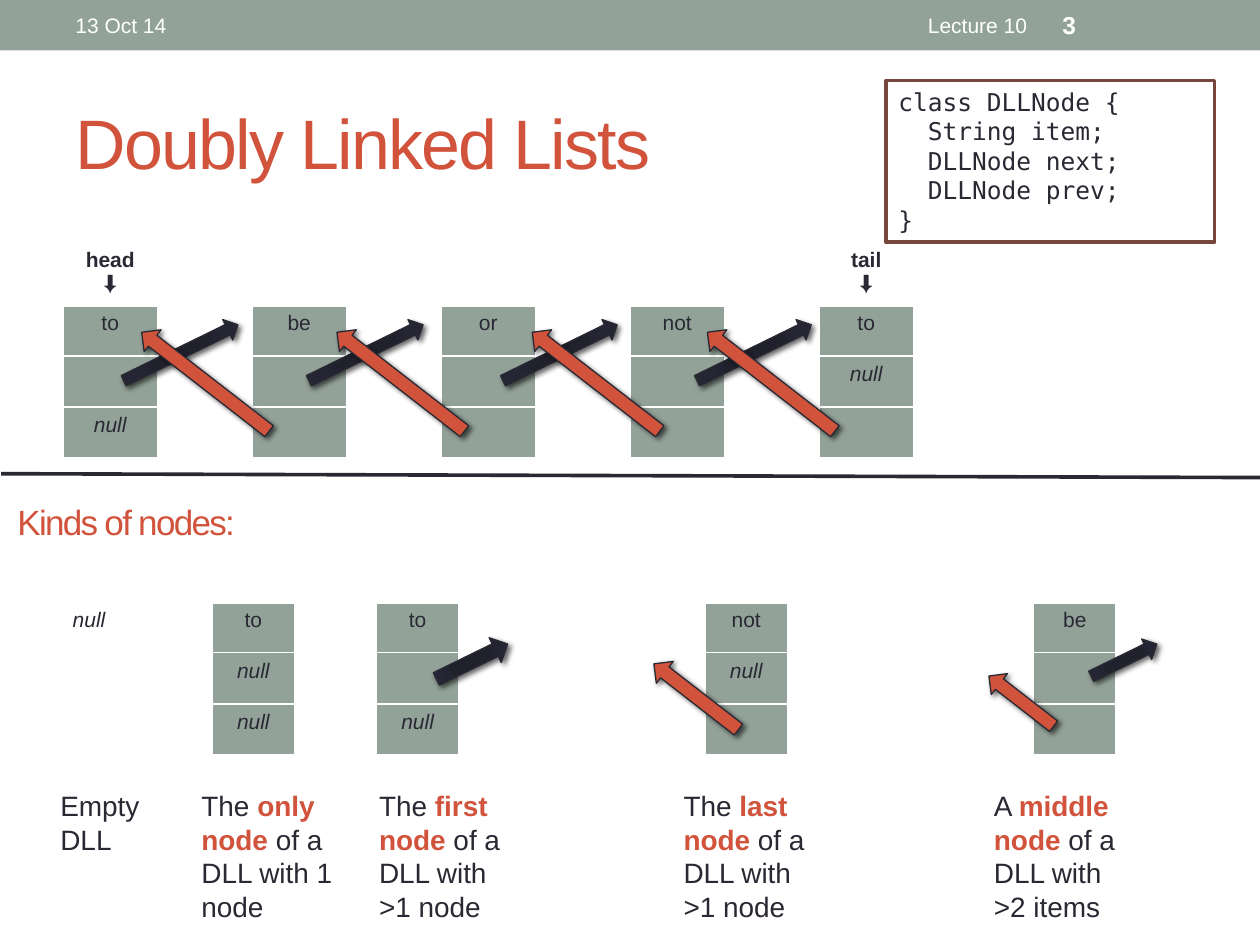
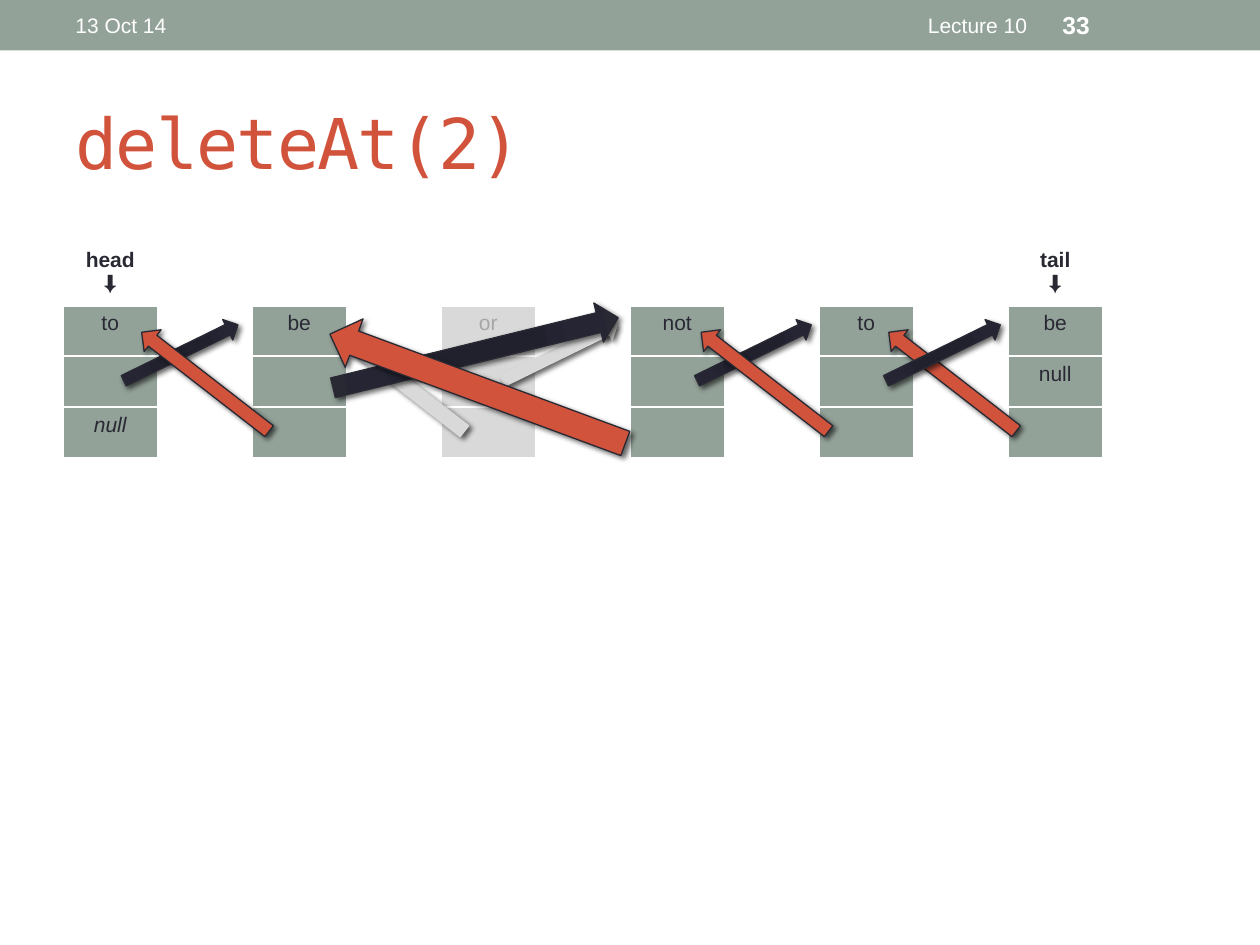
from lxml import etree
from pptx import Presentation
from pptx.dml.color import RGBColor
from pptx.enum import shapes, text
from pptx.oxml import ns, parse_xml
from pptx.util import Pt

SAGE, RUST, INK, WHITE = "93A299", "D2533C", "292934", "FFFFFF"
BROWN, PALE, GREY = "79463D", "D9D9D9", "A6A6A6"
SANS, MONO = "Arial", "DejaVu Sans Mono"
DARK_STOPS = [(0, "21212F"), (34, "21212E"), (70, "252534"), (100, INK)]

DATE, LECTURE = "13 Oct 14", "Lecture 10"
NULL = ("null", {"italic": True})
CODE = [("class DLLNode {", 0), ("String item;", 1), ("DLLNode next;", 1),
        ("DLLNode prev;", 1), ("}", 0)]

FULL_LIST = {0: ("to", "", NULL), 2: ("be", "", ""), 4: ("or", "", ""),
             6: ("not", "", ""), 8: ("to", NULL, "")}
DELETED_LIST = {0: ("to", "", NULL), 2: ("be", "", ""),
                4: (("or", {"color": GREY}), "", ""), 6: ("not", "", ""),
                8: ("to", "", ""), 10: ("be", "null", "")}
NODE_KINDS = {0: (NULL, "", ""), 2: ("to", NULL, NULL), 4: ("to", "", NULL),
              8: ("not", NULL, ""), 12: ("be", "", "")}

KEY = {"color": RUST, "bold": True}
CAPTIONS = [
    (27.4, 80.6, ["Empty DLL"]),
    (108, 92.2, ["The ", ("only node", KEY), " of a DLL with 1 node"]),
    (209.5, 92.9, ["The ", ("first node", KEY), " of a DLL with >1 node"]),
    (383.5, 92.9, ["The ", ("last node", KEY), " of a DLL with >1 node"]),
    (560.9, 92.9, ["A ", ("middle node", KEY), " of a DLL with >2 items"]),
]

NEXT_SIZE, PREV_SIZE = (195.1, 72.7, 13), (210.2, 92.2, 15.8)
NEXT_TURN, PREV_TURN = 333.9, 217.8
LIST_ARROWS = [("next", x, *NEXT_SIZE, NEXT_TURN) for x in (67, 172.8, 283.7, 394.6)]
LIST_ARROWS += [("prev", x, *PREV_SIZE, PREV_TURN) for x in (394.6, 294.5, 182.9, 71.3)]
KIND_ARROWS = [
    ("next", 621.4, 370.8, 41.8, 13, NEXT_TURN),
    ("prev", 560.2, 393.1, 46.8, 15.1, PREV_TURN),
    ("next", 247, 370.1, 45.4, 15.8, NEXT_TURN),
    ("prev", 367.2, 390.2, 61.2, 15.8, PREV_TURN),
]
DELETE_ARROWS = [
    ("next", 67, *NEXT_SIZE, NEXT_TURN),
    ("gone", 283.7, *NEXT_SIZE, NEXT_TURN),
    ("next", 394.6, *NEXT_SIZE, NEXT_TURN),
    ("prev", 498.2, *PREV_SIZE, PREV_TURN),
    ("gone", 182.9, *PREV_SIZE, PREV_TURN),
    ("prev", 71.3, *PREV_SIZE, PREV_TURN),
    ("next", 502.6, *NEXT_SIZE, NEXT_TURN),
    ("prev", 391, *PREV_SIZE, PREV_TURN),
    ("next", 187.9, 190.1, 167.8, 23, 346.2),
    ("prev", 182.9, 207.4, 180, 29.5, 200.3),
]


def rgb(value):
    return RGBColor.from_string(value)


def write(frame, paragraphs, align="LEFT", anchor="TOP", spacing=None, **base):
    frame.word_wrap = True
    frame.vertical_anchor = getattr(text.MSO_ANCHOR, anchor)
    for index, spans in enumerate(paragraphs):
        para = frame.paragraphs[0] if index == 0 else frame.add_paragraph()
        para.alignment = getattr(text.PP_ALIGN, align)
        for item in spans:
            words, changes = (item, {}) if isinstance(item, str) else item
            look = {"font": SANS, "size": 12, "color": INK, **base, **changes}
            span = para.add_run()
            span.text = words
            span.font.name = look["font"]
            span.font.size = Pt(look["size"])
            span.font.bold = look.get("bold", False)
            span.font.italic = look.get("italic", False)
            span.font.color.rgb = rgb(look["color"])
            if spacing:
                span.font._element.set("spc", str(spacing * 100))


def add_text(page, place, paragraphs, **look):
    box = page.shapes.add_textbox(*map(Pt, place))
    write(box.text_frame, paragraphs, **look)


def add_box(page, kind, place, fill, line=None, weight=0.75):
    box = page.shapes.add_shape(getattr(shapes.MSO_SHAPE, kind), *map(Pt, place))
    box.shadow.inherit = False
    box.fill.solid()
    box.fill.fore_color.rgb = rgb(fill)
    if line:
        box.line.color.rgb = rgb(line)
        box.line.width = Pt(weight)
    else:
        box.line.fill.background()
    return box


def add_arrow(page, role, left, top, width, height, turn):
    fill, line = {"next": (INK, INK), "prev": (RUST, INK), "gone": (PALE, PALE)}[role]
    arrow = add_box(page, "RIGHT_ARROW", (left, top, width, height), fill, line)
    arrow.rotation = turn
    properties = arrow._element.spPr
    if role == "next":
        stops = "".join(f'<a:gs pos="{pos * 1000}"><a:srgbClr val="{color}"/></a:gs>'
                        for pos, color in DARK_STOPS)
        gradient = parse_xml(
            f'<a:gradFill {ns.nsdecls("a")}><a:gsLst>{stops}</a:gsLst><a:path path="circle">'
            '<a:fillToRect l="100000" t="100000" r="100000" b="100000"/></a:path></a:gradFill>')
        properties.replace(properties.find(ns.qn("a:solidFill")), gradient)
    properties.find(ns.qn("a:effectLst")).append(parse_xml(
        f'<a:outerShdw {ns.nsdecls("a")} blurRad="{Pt(3)}" dist="{Pt(2)}" dir="2700000">'
        '<a:srgbClr val="000000"><a:alpha val="60000"/></a:srgbClr></a:outerShdw>'))


def set_borders(cell, row):
    weights = {"L": 1, "R": 1, "T": 3 if row == 1 else 1, "B": 3 if row == 0 else 1}
    for index, (side, weight) in enumerate(weights.items()):
        cell._tc.get_or_add_tcPr().insert(index, parse_xml(
            f'<a:ln{side} {ns.nsdecls("a")} w="{Pt(weight)}"><a:solidFill>'
            f'<a:srgbClr val="{WHITE}"/></a:solidFill></a:ln{side}>'))


def add_nodes(page, left, top, column, count, header, nodes, labels, fills):
    heights = [header] + [29.2] * 3
    table = page.shapes.add_table(4, count, *map(
        Pt, (left, top, column * count, sum(heights)))).table
    table.first_row = table.horz_banding = False
    for part in table.columns:
        part.width = Pt(column)
    for part, height in zip(table.rows, heights):
        part.height = Pt(height)
    for row in range(4):
        for col in range(count):
            cell = table.cell(row, col)
            if row and col in nodes:
                cell.fill.solid()
                cell.fill.fore_color.rgb = rgb(fills.get(col, SAGE))
                if nodes[col][row - 1]:
                    write(cell.text_frame, [[nodes[col][row - 1]]], align="CENTER")
            else:
                cell.fill.background()
                if row == 0 and col in labels:
                    write(cell.text_frame, [[labels[col]], ["\u2b07"]],
                          align="CENTER", bold=True)
            set_borders(cell, row)


def add_list(page, nodes, fills):
    add_nodes(page, 36, 138.2, 54, 12, 34, nodes, {0: "head", max(nodes): "tail"}, fills)


def add_page(title, number, font=SANS):
    page = deck.slides.add_slide(deck.slide_layouts[6])
    add_box(page, "RECTANGLE", (0, 0, 720, 28.8), SAGE)
    add_text(page, (36, 41.8, 648, 77.8), [[title]], anchor="MIDDLE",
             size=40, color=RUST, font=font, spacing=-1)
    strip = {"anchor": "MIDDLE", "color": WHITE}
    add_text(page, (36, 1.4, 228, 26), [[DATE]], **strip)
    add_text(page, (270, 1.4, 324, 26), [[LECTURE]], align="RIGHT", **strip)
    add_text(page, (600, 1.4, 84, 26), [[number]], size=14, bold=True, **strip)
    return page


def add_code(page):
    box = add_box(page, "RECTANGLE", (506.2, 46.1, 187.9, 92.2), WHITE, BROWN, 2.08)
    write(box.text_frame, [[line] for line, level in CODE], font=MONO, size=14)
    for para, (line, level) in zip(box.text_frame.paragraphs, CODE):
        para._p.get_or_add_pPr().set("marL", str(Pt(16.86 * level)))


def add_divider(page):
    line = page.shapes.add_connector(
        shapes.MSO_CONNECTOR.STRAIGHT, *map(Pt, (0.7, 270.7, 720.7, 272.9)))
    line.line.color.rgb = rgb(INK)
    line.line.width = Pt(2.08)
    etree.SubElement(line._element.spPr, ns.qn("a:effectLst"))


deck = Presentation()
deck.slide_width, deck.slide_height = Pt(720), Pt(540)

page = add_page("Doubly Linked Lists", "3")
add_list(page, FULL_LIST, {})
for arrow in LIST_ARROWS:
    add_arrow(page, *arrow)
add_code(page)
add_nodes(page, 27.4, 314.6, 46.95, 14, 29.2, NODE_KINDS, {}, {0: WHITE})
for arrow in KIND_ARROWS:
    add_arrow(page, *arrow)
for left, width, spans in CAPTIONS:
    add_text(page, (left, 447.1, width, 85), [spans], size=16)
add_divider(page)
add_text(page, (2.9, 269.3, 648, 56.9), [["Kinds of nodes:"]], anchor="MIDDLE",
         size=20, color=RUST, spacing=-1)

page = add_page("deleteAt(2)", "33", MONO)
add_list(page, DELETED_LIST, {4: PALE})
for arrow in DELETE_ARROWS:
    add_arrow(page, *arrow)

deck.save("out.pptx")
